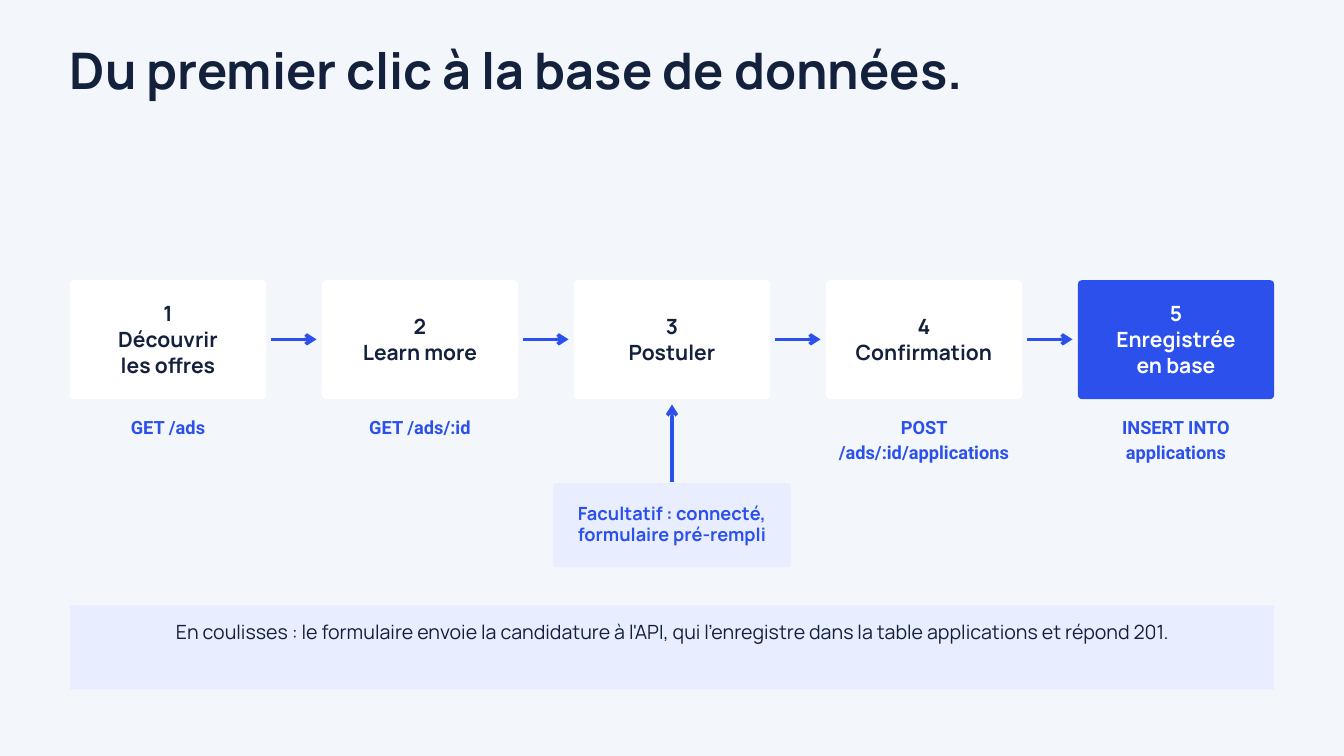
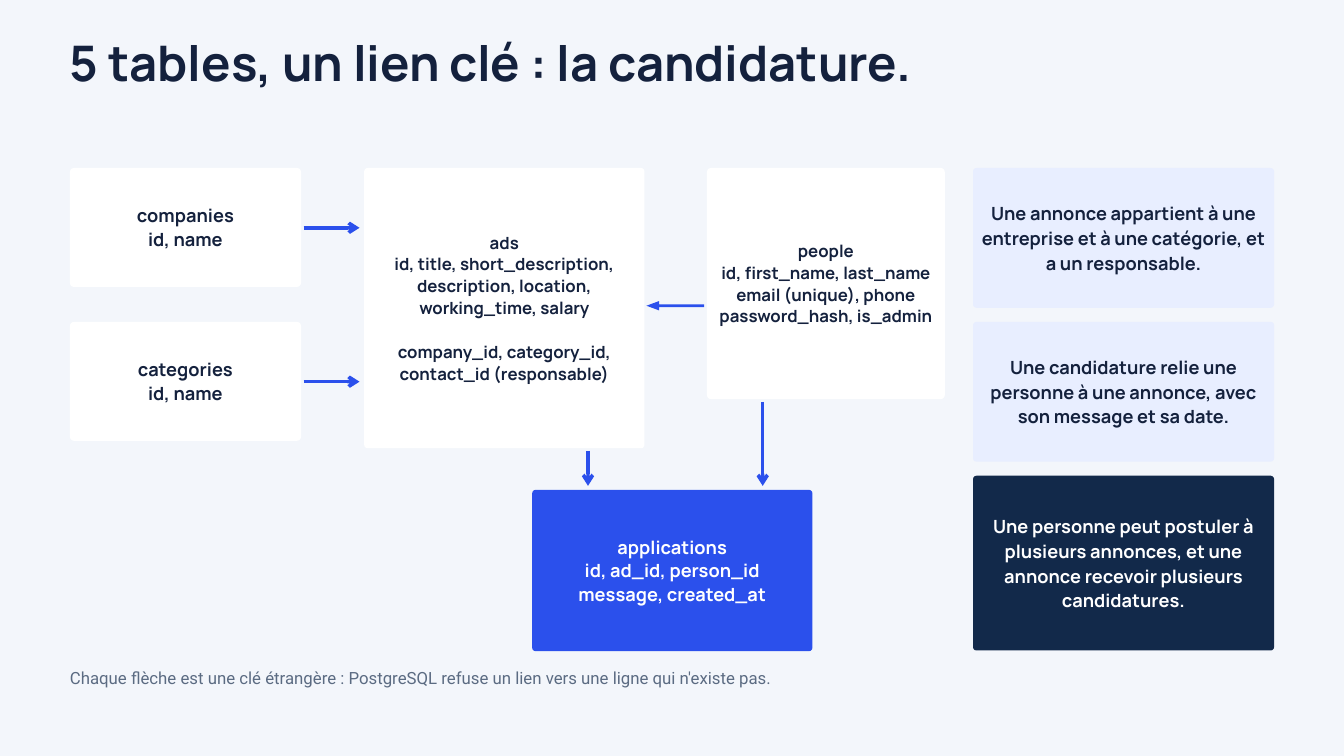
from dataclasses import dataclass, field

import lxml.etree
import pptx
import pptx.dml.color
import pptx.enum.shapes
import pptx.enum.text
import pptx.oxml.ns
import pptx.shapes.autoshape
import pptx.slide
import pptx.text.text
import pptx.util
from pptx.util import Inches

SHAPES = pptx.enum.shapes.MSO_SHAPE
ALIGN = pptx.enum.text.PP_ALIGN
ANCHOR = pptx.enum.text.MSO_ANCHOR


@dataclass(frozen=True)
class Style:
    size: float
    leading: float
    font: str = "Manrope"
    bold: bool = True


@dataclass(frozen=True)
class Theme:
    page: str = "F3F6FB"
    ink: str = "14213D"
    blue: str = "2B50EC"
    pale: str = "E8EEFF"
    navy: str = "12294A"
    white: str = "FFFFFF"
    muted: str = "5B6B82"
    arrow_width: float = 3.75
    flow_title: Style = Style(54, 56.7)
    schema_title: Style = Style(52.5, 55.1)
    step: Style = Style(22.5, 28.1)
    option: Style = Style(19.5, 22.4)
    summary: Style = Style(21, 28.4, bold=False)
    route: Style = Style(19.5, 27.3, font="Roboto")
    table: Style = Style(19.5, 25.4)
    wide_table: Style = Style(18, 23.4)
    rule: Style = Style(19.5, 26.3)
    footnote: Style = Style(18, 25.2, font="Roboto", bold=False)


THEME = Theme()
MARGIN = 1.04
CONTENT_WIDTH = 17.92


@dataclass(frozen=True)
class Area:
    left: float
    top: float
    width: float
    height: float

    def lengths(self) -> tuple:
        return tuple(Inches(v) for v in (self.left, self.top, self.width, self.height))


@dataclass(frozen=True)
class Card:
    area: Area
    lines: tuple[str, ...]
    style: Style
    fill: str = THEME.white
    color: str = THEME.ink
    radius: float = 0.06
    gap_before: tuple[int, ...] = field(default=())


@dataclass(frozen=True)
class Step:
    lines: tuple[str, ...]
    route: str = ""
    fill: str = THEME.white
    color: str = THEME.ink


@dataclass(frozen=True)
class Arrow:
    start: tuple[float, float]
    end: tuple[float, float]


def rgb(color: str) -> pptx.dml.color.RGBColor:
    return pptx.dml.color.RGBColor.from_string(color)


def paint(shape: pptx.shapes.autoshape.Shape, color: str) -> None:
    shape.fill.solid()
    shape.fill.fore_color.rgb = rgb(color)
    shape.line.fill.background()
    shape.shadow.inherit = False


def set_margins(frame: pptx.text.text.TextFrame, side: float, top: float, bottom: float) -> None:
    frame.margin_left = frame.margin_right = Inches(side)
    frame.margin_top, frame.margin_bottom = Inches(top), Inches(bottom)


def write(frame: pptx.text.text.TextFrame, lines: tuple[str, ...], style: Style, color: str,
          align: ALIGN, gap_before: tuple[int, ...] = ()) -> None:
    frame.word_wrap = True
    for index, line in enumerate(lines):
        para = frame.add_paragraph() if index else frame.paragraphs[0]
        para.alignment = align
        para.line_spacing = pptx.util.Pt(style.leading)
        if index in gap_before:
            para.space_before = pptx.util.Pt(style.leading)
        span = para.add_run()
        span.text = line
        span.font.name = style.font
        span.font.size = pptx.util.Pt(style.size)
        span.font.bold = style.bold
        span.font.color.rgb = rgb(color)


def add_page(deck: pptx.presentation.Presentation, title: str, style: Style,
             area: Area) -> pptx.slide.Slide:
    page = deck.slides.add_slide(deck.slide_layouts[5])
    box = page.shapes.title
    box.left, box.top, box.width, box.height = area.lengths()
    frame = box.text_frame
    frame.auto_size = pptx.enum.text.MSO_AUTO_SIZE.NONE
    frame.vertical_anchor = ANCHOR.TOP
    set_margins(frame, 0, 0, 0)
    write(frame, (title,), style, THEME.ink, ALIGN.LEFT)
    return page


def add_text(page: pptx.slide.Slide, area: Area, text: str, style: Style, color: str,
             align: ALIGN = ALIGN.CENTER) -> None:
    frame = page.shapes.add_textbox(*area.lengths()).text_frame
    set_margins(frame, 0, 0, 0)
    write(frame, (text,), style, color, align)


def add_card(page: pptx.slide.Slide, card: Card) -> None:
    box = page.shapes.add_shape(SHAPES.ROUNDED_RECTANGLE, *card.area.lengths())
    box.adjustments[0] = card.radius / min(card.area.width, card.area.height)
    paint(box, card.fill)
    frame = box.text_frame
    frame.vertical_anchor = ANCHOR.MIDDLE
    set_margins(frame, 0.06, 0.03, 0.06)
    write(frame, card.lines, card.style, card.color, ALIGN.CENTER, card.gap_before)


def add_arrow(page: pptx.slide.Slide, arrow: Arrow) -> None:
    ends = [Inches(v) for v in (*arrow.start, *arrow.end)]
    line = page.shapes.add_connector(pptx.enum.shapes.MSO_CONNECTOR.STRAIGHT, *ends)
    line.line.color.rgb = rgb(THEME.blue)
    line.line.width = pptx.util.Pt(THEME.arrow_width)
    qn = pptx.oxml.ns.qn
    lxml.etree.SubElement(line.line._get_or_add_ln(), qn("a:tailEnd"), type="arrow")
    lxml.etree.SubElement(line._element.spPr, qn("a:effectLst"))


def add_slim_arrow(page: pptx.slide.Slide, tip: float, end: float, middle: float) -> None:
    neck, half_head, half_shaft = tip + 0.19, 0.07, 0.02
    outline = [
        (tip, middle), (neck, middle - half_head), (neck, middle - half_shaft),
        (end, middle - half_shaft), (end, middle + half_shaft),
        (neck, middle + half_shaft), (neck, middle + half_head),
    ]
    points = [(Inches(x), Inches(y)) for x, y in outline]
    builder = page.shapes.build_freeform(*points[0], scale=1.0)
    builder.add_line_segments(points[1:], close=True)
    paint(builder.convert_to_shape(), THEME.blue)


def build_flow(deck: pptx.presentation.Presentation) -> None:
    page = add_page(deck, "Du premier clic à la base de données.", THEME.flow_title,
                    Area(MARGIN, 0.7, 16.67, 0.87))
    steps = [
        Step(("1", "Découvrir", "les offres"), "GET /ads"),
        Step(("2", "Learn more"), "GET /ads/:id"),
        Step(("3", "Postuler")),
        Step(("4", "Confirmation"), "POST /ads/:id/applications"),
        Step(("5", "Enregistrée", "en base"), "INSERT INTO applications",
             THEME.blue, THEME.white),
    ]
    width, pitch, middle = 2.92, 3.75, 5.05
    for index, step in enumerate(steps):
        left = MARGIN + index * pitch
        add_card(page, Card(Area(left, 4.17, width, 1.77), step.lines, THEME.step,
                            step.fill, step.color))
        if index:
            add_arrow(page, Arrow((left - 0.75, middle), (left - 0.08, middle)))
        if step.route:
            add_text(page, Area(left, 6.14, width, 0.76), step.route, THEME.route, THEME.blue)

    add_card(page, Card(Area(8.23, 7.19, 3.54, 1.25),
                        ("Facultatif : connecté,", "formulaire pré-rempli"),
                        THEME.option, THEME.pale, THEME.blue, radius=0.05))
    add_arrow(page, Arrow((10, 7.17), (10, 6.02)))

    band = Area(MARGIN, 9.01, CONTENT_WIDTH, 1.25)
    paint(page.shapes.add_shape(SHAPES.RECTANGLE, *band.lengths()), THEME.pale)
    add_text(page, Area(1.88, 9.18, 16.25, 0.39),
             "En coulisses : le formulaire envoie la candidature à l'API, "
             "qui l'enregistre dans la table applications et répond 201.",
             THEME.summary, THEME.ink)


def build_schema(deck: pptx.presentation.Presentation) -> None:
    page = add_page(deck, "5 tables, un lien clé : la candidature.", THEME.schema_title,
                    Area(MARGIN, 0.6, 16.67, 0.84))
    first_row, second_row, third_row = 2.5, 4.79, 7.08
    tables = [
        Card(Area(MARGIN, first_row, 3.44, 1.77), ("companies", "id, name"), THEME.table),
        Card(Area(MARGIN, second_row, 3.44, 1.77), ("categories", "id, name"), THEME.table),
        Card(Area(5.42, first_row, 4.17, 4.17),
             ("ads", "id, title, short_description,", "description, location,",
              "working_time, salary", "company_id, category_id,", "contact_id (responsable)"),
             THEME.wide_table, radius=0.05, gap_before=(4,)),
        Card(Area(7.92, 7.29, 4.17, 2.4),
             ("applications", "id, ad_id, person_id", "message, created_at"),
             THEME.table, THEME.blue, THEME.white, radius=0.05),
        Card(Area(10.52, first_row, 3.54, 3.44),
             ("people", "id, first_name, last_name", "email (unique), phone",
              "password_hash, is_admin"), THEME.wide_table),
    ]
    rules = [
        Card(Area(14.48, top, 4.48, height), (text,), THEME.rule, fill, color, radius=0.05)
        for top, height, fill, color, text in (
            (first_row, 2.08, THEME.pale, THEME.ink,
             "Une annonce appartient à une entreprise et à une catégorie, et a un responsable."),
            (second_row, 2.08, THEME.pale, THEME.ink,
             "Une candidature relie une personne à une annonce, avec son message et sa date."),
            (third_row, 2.6, THEME.navy, THEME.white,
             "Une personne peut postuler à plusieurs annonces, "
             "et une annonce recevoir plusieurs candidatures."),
        )
    ]
    for card in tables + rules:
        add_card(page, card)

    foreign_keys = [
        Arrow((4.52, 3.39), (5.35, 3.39)),
        Arrow((4.52, 5.68), (5.35, 5.68)),
        Arrow((8.75, 6.71), (8.75, 7.23)),
        Arrow((11.35, 5.98), (11.35, 7.23)),
    ]
    for arrow in foreign_keys:
        add_arrow(page, arrow)
    add_slim_arrow(page, 9.62, 10.48, 4.55)

    add_text(page, Area(MARGIN, 9.89, CONTENT_WIDTH, 0.36),
             "Chaque flèche est une clé étrangère : "
             "PostgreSQL refuse un lien vers une ligne qui n'existe pas.",
             THEME.footnote, THEME.muted, ALIGN.LEFT)


def main() -> None:
    deck = pptx.Presentation()
    deck.slide_width, deck.slide_height = Inches(20), Inches(11.25)
    background = deck.slide_master.background.fill
    background.solid()
    background.fore_color.rgb = rgb(THEME.page)
    build_flow(deck)
    build_schema(deck)
    deck.save("out.pptx")


if __name__ == "__main__":
    main()
